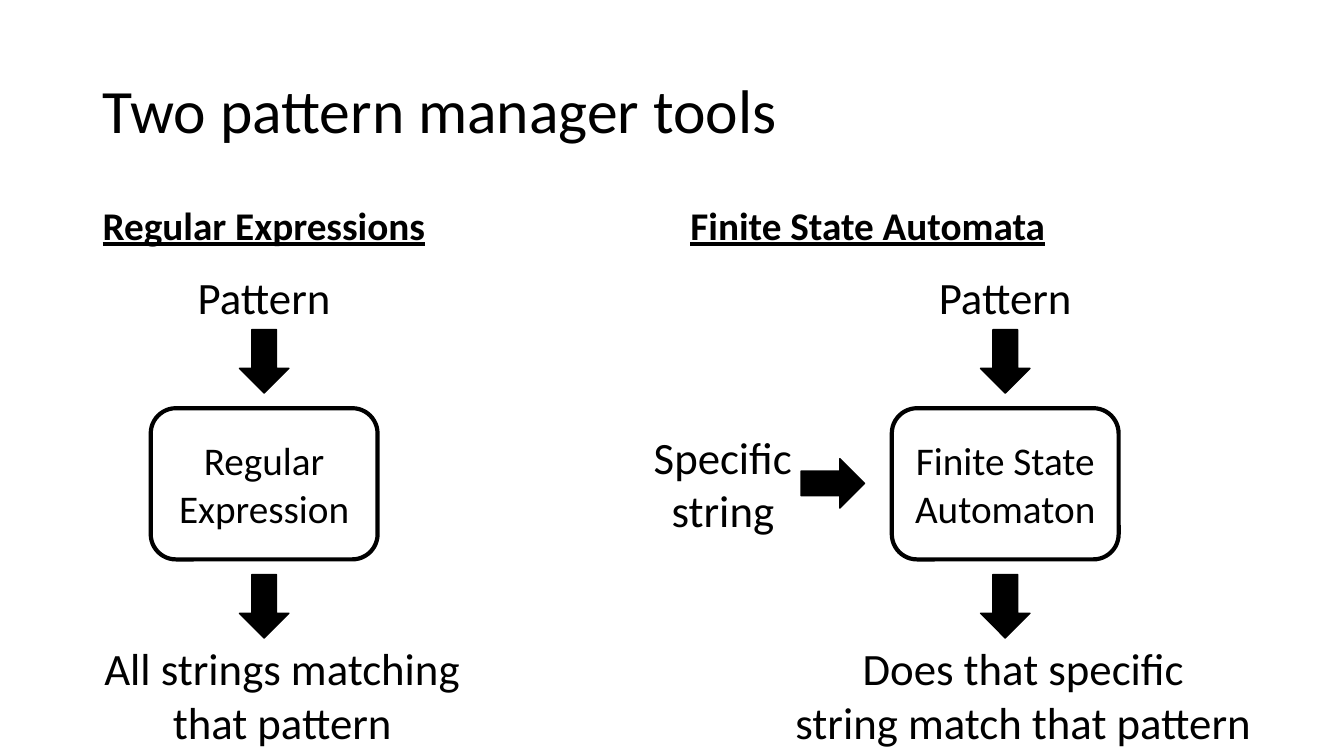
import dataclasses

import pptx
import pptx.dml.color
import pptx.enum.shapes
import pptx.enum.text
import pptx.util

Inches = pptx.util.Inches
Pt = pptx.util.Pt
MSO_SHAPE = pptx.enum.shapes.MSO_SHAPE
PP_ALIGN = pptx.enum.text.PP_ALIGN
MSO_ANCHOR = pptx.enum.text.MSO_ANCHOR
MSO_AUTO_SIZE = pptx.enum.text.MSO_AUTO_SIZE

COLORS = {"ink": "000000", "paper": "FFFFFF"}
FONT = "Calibri"
ARROW_W, ARROW_H = 0.49, 0.63
TOOL_W, TOOL_H = 2.25, 1.5
RESULT_SHIFT = 0.18


@dataclasses.dataclass(frozen=True)
class Tool:
    heading: str
    heading_left: float
    center: float
    name: str
    result: str
    result_width: float


TOOLS = [
    Tool("Regular Expressions", 0.92, 2.62, "Regular Expression",
         "All strings matching\nthat pattern", 3.77),
    Tool("Finite State Automata", 6.75, 9.97, "Finite State Automaton",
         "Does that specific\nstring match that pattern", 4.78),
]


def rgb(name: str) -> pptx.dml.color.RGBColor:
    return pptx.dml.color.RGBColor.from_string(COLORS[name])


def write(tf, text: str, *, size: float, bold=False, underline=False,
          align=PP_ALIGN.LEFT, anchor=MSO_ANCHOR.TOP, wrap=True,
          spacing=1.0, before=0.0) -> None:
    """Fill a text frame with one paragraph per line of text."""
    tf.word_wrap = wrap
    tf.auto_size = MSO_AUTO_SIZE.NONE if wrap else MSO_AUTO_SIZE.SHAPE_TO_FIT_TEXT
    tf.vertical_anchor = anchor
    for i, line in enumerate(text.split("\n")):
        p = tf.add_paragraph() if i else tf.paragraphs[0]
        p.alignment = align
        p.line_spacing = spacing
        p.space_before = Pt(before)
        r = p.add_run()
        r.text = line
        r.font.name = FONT
        r.font.size = Pt(size)
        r.font.bold = bold
        r.font.underline = underline
        r.font.color.rgb = rgb("ink")


def add_label(s, text: str, center: float, top: float, width: float,
              height: float) -> None:
    sp = s.shapes.add_textbox(Inches(center - width / 2), Inches(top),
                              Inches(width), Inches(height))
    write(sp.text_frame, text, size=32, align=PP_ALIGN.CENTER, wrap=False)


def add_box(s, kind, center: float, top: float, width: float, height: float,
            *, fill: str, line_width: float):
    sp = s.shapes.add_shape(kind, Inches(center - width / 2), Inches(top),
                            Inches(width), Inches(height))
    sp.shadow.inherit = False
    sp.fill.solid()
    sp.fill.fore_color.rgb = rgb(fill)
    sp.line.color.rgb = rgb("ink")
    sp.line.width = Pt(line_width)
    return sp


def add_arrow(s, center: float, top: float, rotation: float = 0) -> None:
    sp = add_box(s, MSO_SHAPE.DOWN_ARROW, center, top, ARROW_W, ARROW_H,
                 fill="ink", line_width=1)
    sp.rotation = rotation


def add_tool(s, tool: Tool) -> None:
    """Draw a heading and the flow from pattern through tool to result."""
    sp = s.shapes.add_textbox(Inches(tool.heading_left), Inches(2),
                              Inches(5.67), Inches(4.76))
    write(sp.text_frame, tool.heading, size=28, bold=True, underline=True,
          spacing=0.9, before=10)
    add_label(s, "Pattern", tool.center, 2.63, 1.54, 0.64)
    add_arrow(s, tool.center, 3.27)
    sp = add_box(s, MSO_SHAPE.ROUNDED_RECTANGLE, tool.center, 4.05,
                 TOOL_W, TOOL_H, fill="paper", line_width=3)
    write(sp.text_frame, tool.name, size=28, align=PP_ALIGN.CENTER,
          anchor=MSO_ANCHOR.MIDDLE)
    add_arrow(s, tool.center, 5.7)
    add_label(s, tool.result, tool.center + RESULT_SHIFT, 6.31,
              tool.result_width, 1.18)


def main() -> None:
    prs = pptx.Presentation()
    prs.slide_width, prs.slide_height = Inches(13.33), Inches(7.5)
    s = prs.slides.add_slide(prs.slide_layouts[5])
    title = s.shapes.title
    title.left, title.top = Inches(0.92), Inches(0.4)
    title.width, title.height = Inches(11.5), Inches(1.45)
    write(title.text_frame, "Two pattern manager tools", size=44,
          anchor=MSO_ANCHOR.MIDDLE, spacing=0.9)
    for tool in TOOLS:
        add_tool(s, tool)
    add_label(s, "Specific\nstring", 7.17, 4.21, 1.59, 1.18)
    add_arrow(s, 8.26, 4.48, rotation=270)
    prs.save("out.pptx")


if __name__ == "__main__":
    main()
